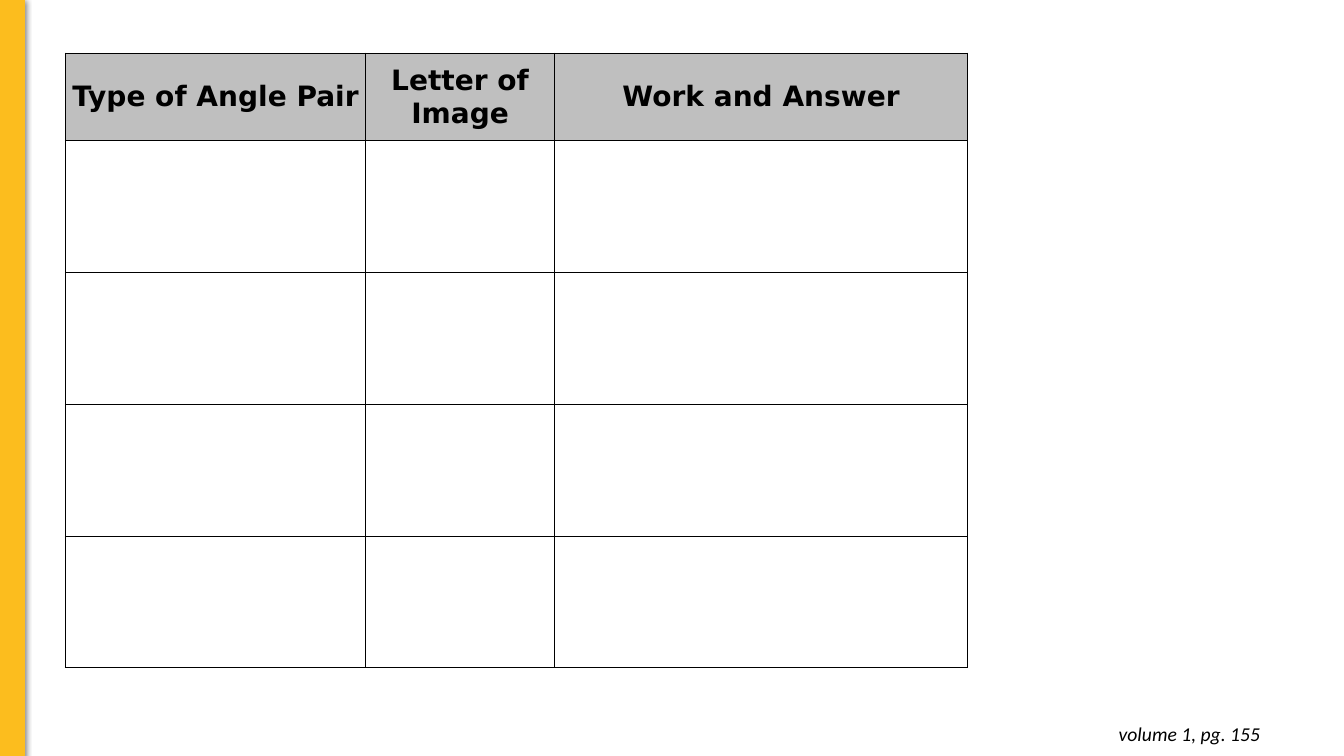
from lxml.etree import SubElement
from pptx import Presentation
from pptx.dml.color import RGBColor
from pptx.enum.shapes import MSO_SHAPE as Shape
from pptx.enum.text import MSO_ANCHOR as Anchor, PP_ALIGN as Align
from pptx.oxml.ns import qn
from pptx.util import Cm, Pt

BLACK = RGBColor(0x00, 0x00, 0x00)
GOLD = RGBColor(0xFC, 0xBD, 0x1E)
GREY = RGBColor(0xBF, 0xBF, 0xBF)

HEADS = ["Type of Angle Pair", "Letter of Image", "Work and Answer"]
WIDTHS = [7.57, 4.75, 10.42]
HEIGHTS = [2.21] + [3.32] * 4
HEAD_FONT = {"name": "DejaVu Sans", "size": Pt(20), "bold": True}
NOTE_FONT = {"name": "Calibri", "size": Pt(14), "italic": True}


def write(para, text, style):
    """Fill a paragraph with one black run in the given style."""
    run = para.add_run()
    run.text = text
    run.font.color.rgb = BLACK
    for key, value in style.items():
        setattr(run.font, key, value)


def add_black(parent, alpha=None):
    color = SubElement(parent, qn("a:srgbClr"), val=str(BLACK))
    if alpha:
        SubElement(color, qn("a:alpha"), val=str(alpha))


deck = Presentation()
deck.slide_width, deck.slide_height = Cm(33.87), Cm(19.05)
slide = deck.slides.add_slide(deck.slide_layouts[6])

# Page reference
note = slide.shapes.add_textbox(Cm(24.69), Cm(17.93), Cm(7.32), Cm(1.12))
frame = note.text_frame
frame.word_wrap = True
for side in ("left", "right", "top", "bottom"):
    setattr(frame, f"margin_{side}", Cm(0.25))
frame.paragraphs[0].alignment = Align.RIGHT
write(frame.paragraphs[0], "volume 1, pg. 155", NOTE_FONT)

# Gold side bar with a soft shadow
bar = slide.shapes.add_shape(Shape.RECTANGLE, Cm(0), Cm(-0.02), Cm(0.62), Cm(19.08))
bar.fill.solid()
bar.fill.fore_color.rgb = GOLD
bar.line.color.rgb = GOLD
bar.line.width = Pt(0.75)
bar.shadow.inherit = False
glow = SubElement(bar.element.spPr.find(qn("a:effectLst")), qn("a:outerShdw"),
                  blurRad=str(Pt(4.5)), dist=str(Pt(1.5)), dir="5400000",
                  rotWithShape="0")
add_black(glow, 50000)

# Answer table
table = slide.shapes.add_table(len(HEIGHTS), len(WIDTHS), Cm(1.65), Cm(1.34),
                               Cm(sum(WIDTHS)), Cm(sum(HEIGHTS))).table
table.first_row = table.horz_banding = False
for col, width in zip(table.columns, WIDTHS):
    col.width = Cm(width)
for row, height in zip(table.rows, HEIGHTS):
    row.height = Cm(height)

for cell in table.iter_cells():
    props = cell._tc.get_or_add_tcPr()
    for edge in ("lnL", "lnR", "lnT", "lnB"):
        line = SubElement(props, qn(f"a:{edge}"), w=str(Pt(1)))
        add_black(SubElement(line, qn("a:solidFill")))
    cell.fill.background()

for cell, head in zip(table.rows[0].cells, HEADS):
    cell.fill.solid()
    cell.fill.fore_color.rgb = GREY
    cell.vertical_anchor = Anchor.MIDDLE
    cell.margin_left = cell.margin_right = Cm(0.1)
    cell.margin_top = cell.margin_bottom = 0
    para = cell.text_frame.paragraphs[0]
    para.alignment = Align.CENTER
    para.space_after = Pt(10)
    write(para, head, HEAD_FONT)

deck.save("out.pptx")
